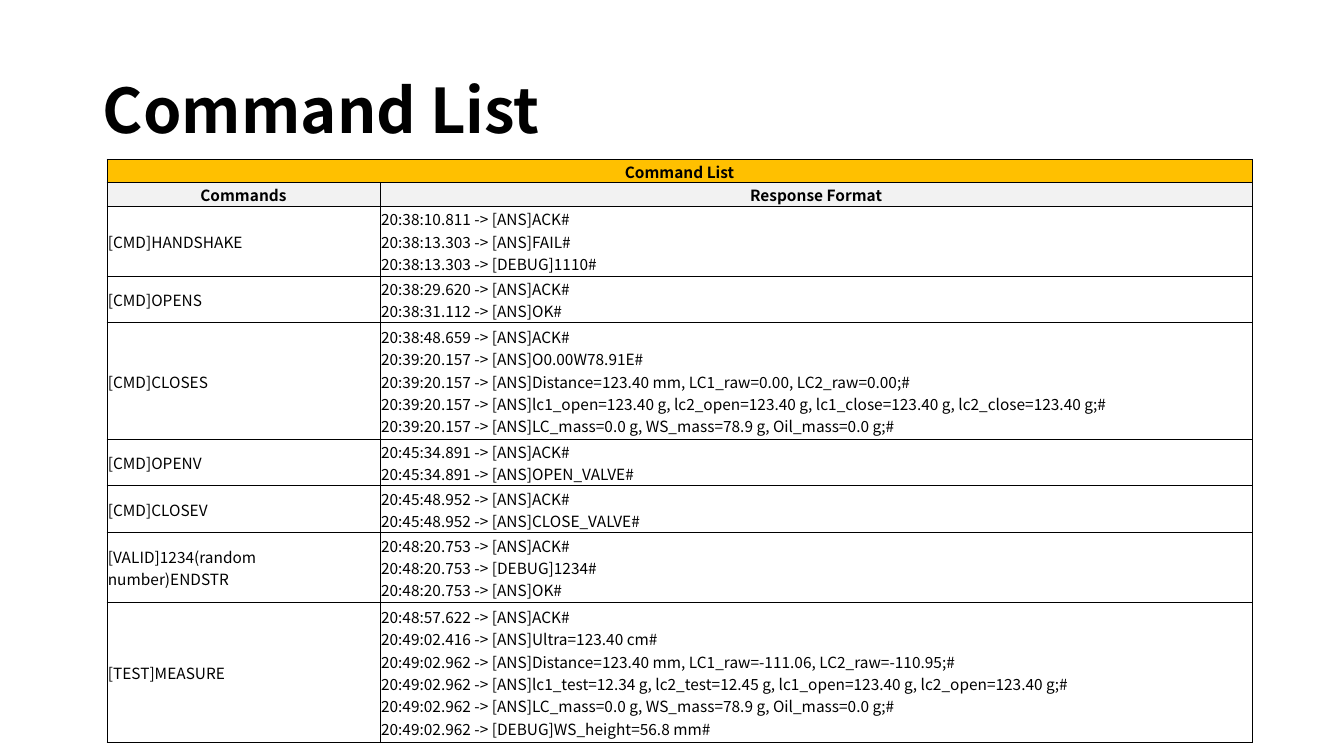
from dataclasses import dataclass

from lxml.etree import SubElement
from pptx import Presentation
from pptx.dml.color import RGBColor as RGB
from pptx.enum.text import MSO_ANCHOR as Anchor, PP_ALIGN as Align
from pptx.oxml.ns import qn
from pptx.util import Inches, Pt


@dataclass
class Theme:
    font: str = "Noto Sans CJK KR"
    ink: str = "000000"
    gold: str = "FFC000"
    gray: str = "F2F2F2"
    title: int = 44
    body: int = 11
    rule: float = 0.5


theme = Theme()


def write(frame, text, size=theme.body, bold=False, align=Align.LEFT, space=None):
    for i, line in enumerate(text.split("\n")):
        para = frame.add_paragraph() if i else frame.paragraphs[0]
        para.alignment = align
        para.line_spacing = space
        run = para.add_run()
        run.text = line
        font = run.font
        font.name, font.size, font.bold = theme.font, Pt(size), bold
        font.color.rgb = RGB.from_string(theme.ink)


def border(cell):
    props = cell._tc.get_or_add_tcPr()
    for side in ("lnL", "lnR", "lnT", "lnB"):
        line = SubElement(props, qn(f"a:{side}"), w=str(Pt(theme.rule)))
        fill = SubElement(line, qn("a:solidFill"))
        SubElement(fill, qn("a:srgbClr"), val=theme.ink)


deck = Presentation()
deck.slide_width, deck.slide_height = Inches(13.33), Inches(7.5)
slide = deck.slides.add_slide(deck.slide_layouts[5])

# Title
title = slide.shapes.title
title.left, title.top = Inches(0.92), Inches(0.4)
title.width, title.height = Inches(11.5), Inches(1.45)
title.text_frame.vertical_anchor = Anchor.MIDDLE
write(title.text_frame, "Command List", size=theme.title, bold=True, space=0.9)

# Table content
rows = [
    ("Command List", ""),
    ("Commands", "Response Format"),
    ("[CMD]HANDSHAKE", """20:38:10.811 -> [ANS]ACK#
20:38:13.303 -> [ANS]FAIL#
20:38:13.303 -> [DEBUG]1110#"""),
    ("[CMD]OPENS", """20:38:29.620 -> [ANS]ACK#
20:38:31.112 -> [ANS]OK#"""),
    ("[CMD]CLOSES", """20:38:48.659 -> [ANS]ACK#
20:39:20.157 -> [ANS]O0.00W78.91E#
20:39:20.157 -> [ANS]Distance=123.40 mm, LC1_raw=0.00, LC2_raw=0.00;#
20:39:20.157 -> [ANS]lc1_open=123.40 g, lc2_open=123.40 g, lc1_close=123.40 g, lc2_close=123.40 g;#
20:39:20.157 -> [ANS]LC_mass=0.0 g, WS_mass=78.9 g, Oil_mass=0.0 g;#"""),
    ("[CMD]OPENV", """20:45:34.891 -> [ANS]ACK#
20:45:34.891 -> [ANS]OPEN_VALVE#"""),
    ("[CMD]CLOSEV", """20:45:48.952 -> [ANS]ACK#
20:45:48.952 -> [ANS]CLOSE_VALVE#"""),
    ("[VALID]1234(random number)ENDSTR", """20:48:20.753 -> [ANS]ACK#
20:48:20.753 -> [DEBUG]1234#
20:48:20.753 -> [ANS]OK#"""),
    ("[TEST]MEASURE", """20:48:57.622 -> [ANS]ACK#
20:49:02.416 -> [ANS]Ultra=123.40 cm#
20:49:02.962 -> [ANS]Distance=123.40 mm, LC1_raw=-111.06, LC2_raw=-110.95;#
20:49:02.962 -> [ANS]lc1_test=12.34 g, lc2_test=12.45 g, lc1_open=123.40 g, lc2_open=123.40 g;#
20:49:02.962 -> [ANS]LC_mass=0.0 g, WS_mass=78.9 g, Oil_mass=0.0 g;#
20:49:02.962 -> [DEBUG]WS_height=56.8 mm#"""),
]

# Table frame: row heights follow the number of response lines
lines = [len(reply.split("\n")) for _, reply in rows]
high = 5.78
table = slide.shapes.add_table(
    len(rows), 2, Inches(1.06), Inches(1.58), Inches(11.36), Inches(high)).table
table.first_row = table.horz_banding = False
for col, width in zip(table.columns, (2.71, 8.65)):
    col.width = Inches(width)
for row, count in zip(table.rows, lines):
    row.height = Inches(high * count / sum(lines))
table.cell(0, 0).merge(table.cell(0, 1))

# Cells
fills = (theme.gold, theme.gray)
for r, texts in enumerate(rows):
    head = r < len(fills)
    for c, text in enumerate(texts):
        cell = table.cell(r, c)
        border(cell)
        cell.vertical_anchor = Anchor.MIDDLE
        cell.margin_left = cell.margin_right = cell.margin_top = Inches(0.01)
        cell.margin_bottom = Inches(0)
        if head:
            cell.fill.solid()
            cell.fill.fore_color.rgb = RGB.from_string(fills[r])
        else:
            cell.fill.background()
        if text:
            write(cell.text_frame, text, bold=head,
                  align=Align.CENTER if head else Align.LEFT)

deck.save("out.pptx")
